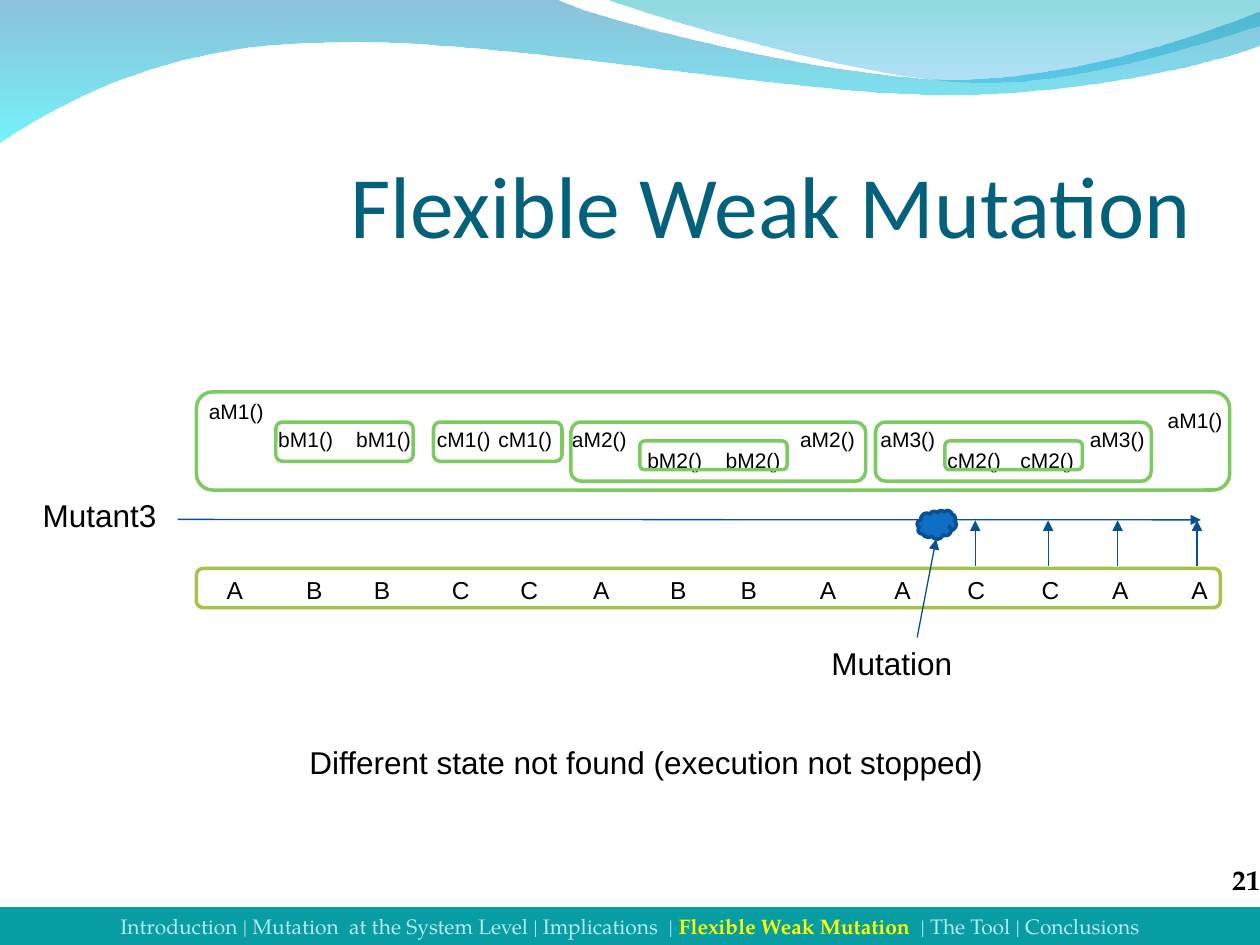
from pptx import Presentation
from pptx.dml.color import RGBColor
from pptx.enum.shapes import MSO_CONNECTOR as Link, MSO_SHAPE as Form
from pptx.enum.text import MSO_ANCHOR as Anchor, MSO_AUTO_SIZE as Fit, PP_ALIGN as Align
from pptx.oxml.ns import qn
from pptx.util import Cm, Pt
from lxml.etree import SubElement as Sub

BLACK = RGBColor(0x00, 0x00, 0x00)
NAVY = RGBColor(0x04, 0x61, 0x7B)
BLUE = RGBColor(0x06, 0x50, 0x93)
CLOUD = RGBColor(0x0F, 0x6F, 0xC6)
EDGE = RGBColor(0x08, 0x50, 0x91)
GREEN = RGBColor(0x7C, 0xCA, 0x62)
OLIVE = RGBColor(0xA5, 0xC2, 0x49)
TEAL = RGBColor(0x08, 0x9C, 0xA3)
PALE = RGBColor(0xB3, 0xEA, 0xF2)
YELLOW = RGBColor(0xFF, 0xFF, 0x00)
DEEP = RGBColor(0x00, 0x79, 0xAF)
CYAN = RGBColor(0x00, 0xEB, 0xF8)
SEA = RGBColor(0x00, 0xAD, 0xB6)
SKY = RGBColor(0x00, 0x9B, 0xE5)

SANS = "Arial"
SERIF = "TeX Gyre Pagella"
WIDTH = 25.4

BACK = [(0, 0), (11.24, 0), (12.09, 0.43, 16.87, 1.6, 19.25, 1.6),
        (21.67, 1.6, 24.33, 0.66, WIDTH, 0.23), (WIDTH, 0.91),
        (24.97, 1.12, 22.1, 1.93, 18.95, 1.91),
        (15.8, 1.91, 9.7, 0.71, 6.53, 0.86), (3.28, 0.89, 1.17, 2.11, 0, 2.87)]
FRONT = [(12.24, 0), (12.93, 0.28, 17.32, 1.57, 19.53, 1.65),
         (21.74, 1.75, 24.41, 0.81, WIDTH, 0.53), (WIDTH, 0)]

TOP, MID, LOW = 7.9, 8.48, 8.89
CALLS = [("aM1()", 3.96, TOP), ("bM1()", 5.36, MID), ("bM1()", 6.93, MID),
         ("cM1()", 8.56, MID), ("cM1()", 9.8, MID), ("aM2()", 11.28, MID),
         ("bM2()", 12.8, LOW), ("bM2()", 14.38, LOW), ("aM2()", 15.88, MID),
         ("aM3()", 17.5, MID), ("cM2()", 18.85, LOW), ("cM2()", 20.32, LOW),
         ("aM3()", 21.72, MID), ("aM1()", 23.29, 8.1)]
SCOPES = [(17.65, 8.51, 5.56, 1.19), (5.56, 8.51, 2.77, 0.79),
          (8.74, 8.51, 2.59, 0.79), (11.51, 8.51, 5.94, 1.19),
          (3.96, TOP, 20.83, 1.98), (12.9, LOW, 2.97, 0.58),
          (19.05, LOW, 2.77, 0.58)]
TRACE = zip("ABBCCABBAACCAA",
            [4.32, 5.92, 7.29, 8.86, 10.24, 11.71, 13.26,
             14.68, 16.28, 17.78, 19.25, 20.75, 22.17, 23.77])
CHECKS = [19.66, 21.13, 22.53, 24.13]


def cms(*nums):
    return [Cm(num) for num in nums]


def add_run(para, text, size, color=BLACK, font=SANS, bold=False):
    run = para.add_run()
    run.text = text
    run.font.size = Pt(size)
    run.font.name = font
    run.font.bold = bold
    run.font.color.rgb = color


def add_label(shapes, text, box, size):
    frame = shapes.add_textbox(*cms(*box)).text_frame
    frame.word_wrap = False
    frame.auto_size = Fit.SHAPE_TO_FIT_TEXT
    add_run(frame.paragraphs[0], text, size)


def add_form(shapes, kind, box, fill=None, line=None):
    form = shapes.add_shape(kind, *cms(*box))
    form.shadow.inherit = False
    if fill is None:
        form.fill.background()
    else:
        form.fill.solid()
        form.fill.fore_color.rgb = fill
    if line is None:
        form.line.fill.background()
    else:
        form.line.color.rgb = line
        form.line.width = Pt(2)
    return form


def add_arrow(shapes, start, end):
    arrow = shapes.add_connector(Link.STRAIGHT, *cms(*start, *end))
    arrow.line.color.rgb = BLUE
    arrow.line.width = Pt(0.75)
    Sub(arrow.line._get_or_add_ln(), qn("a:tailEnd"), type="triangle")
    Sub(arrow._element.spPr, qn("a:effectLst"))


def trace_curve(steps, count=24):
    dots = []
    for step in steps:
        if len(step) == 2:
            dots.append(step)
            continue
        hull = [dots[-1], step[:2], step[2:4], step[4:]]
        for num in range(1, count + 1):
            t = num / count
            parts = [(1 - t) ** 3, 3 * t * (1 - t) ** 2, 3 * t * t * (1 - t), t ** 3]
            dots.append(tuple(sum(p * dot[k] for p, dot in zip(parts, hull))
                              for k in (0, 1)))
    return [cms(*dot) for dot in dots]


def add_wave(shapes, steps, stops):
    first, *rest = trace_curve(steps)
    pen = shapes.build_freeform(*first)
    pen.add_line_segments(rest, close=True)
    wave = pen.convert_to_shape()
    wave.shadow.inherit = False
    wave.line.fill.background()
    wave.fill.gradient()
    wave.fill.gradient_angle = 270
    for stop, (color, _) in zip(wave.fill.gradient_stops, stops):
        stop.color.rgb = color
    tints = wave._element.spPr.iter(qn("a:srgbClr"))
    for tint, (_, alpha) in zip(list(tints), stops):
        Sub(tint, qn("a:alpha"), val=str(alpha * 1000))


def set_title(title):
    title.left, title.top, title.width, title.height = cms(1.2, 1.98, 22.82, 3.18)
    frame = title.text_frame
    frame.auto_size = Fit.NONE
    frame.vertical_anchor = Anchor.BOTTOM
    frame.margin_left = frame.margin_right = frame.margin_bottom = 0
    para = frame.paragraphs[0]
    para.alignment = Align.RIGHT
    add_run(para, "Flexible Weak Mutation", 50, NAVY, "Calibri")


def add_trace(shapes):
    group = shapes.add_group_shape().shapes
    for name, left in TRACE:
        add_label(group, name, (left, 11.46, 0.85, 0.86), 14)
    add_form(group, Form.ROUNDED_RECTANGLE, (3.96, 11.46, 20.64, 0.79), line=OLIVE)


def add_footer(shapes):
    bar = add_form(shapes, Form.RECTANGLE, (0, 18.29, WIDTH, 0.76), TEAL)
    bar.text_frame.vertical_anchor = Anchor.TOP
    para = bar.text_frame.paragraphs[0]
    para.alignment = Align.CENTER
    add_run(para, "Introduction | Mutation  at the System Level | Implications  | ",
            12, PALE, SERIF)
    add_run(para, "Flexible Weak Mutation", 12, YELLOW, SERIF, True)
    add_run(para, "  | The Tool | Conclusions", 12, PALE, SERIF)


def add_number(shapes):
    frame = shapes.add_textbox(*cms(24.49, 17.27, 0.91, 0.79)).text_frame
    frame.word_wrap = True
    frame.vertical_anchor = Anchor.BOTTOM
    frame.margin_left = frame.margin_right = 0
    frame.margin_top = frame.margin_bottom = 0
    para = frame.paragraphs[0]
    para.alignment = Align.RIGHT
    add_run(para, "21", 16, BLACK, SERIF, True)


def main():
    deck = Presentation()
    deck.slide_width, deck.slide_height = cms(WIDTH, 19.05)
    slide = deck.slides.add_slide(deck.slide_layouts[5])
    shapes = slide.shapes
    add_wave(shapes, BACK, [(DEEP, 45), (CYAN, 55)])
    add_wave(shapes, FRONT, [(SEA, 45), (SKY, 30)])
    set_title(shapes.title)
    add_arrow(shapes, (3.58, 10.47), (24.21, 10.48))
    for text, left, top in CALLS:
        add_label(shapes, text, (left, top, 1.65, 0.76), 12)
    add_label(shapes, "Mutant3", (0.61, 9.88, 2.86, 1.02), 18)
    for left in CHECKS:
        add_arrow(shapes, (left, 11.4), (left, 10.49))
    add_trace(shapes)
    for box in SCOPES:
        add_form(shapes, Form.ROUNDED_RECTANGLE, box, line=GREEN)
    add_form(shapes, Form.CLOUD, (18.49, 10.29, 0.79, 0.58), CLOUD, EDGE)
    add_label(shapes, "Mutation", (16.51, 12.85, 2.97, 1.02), 18)
    add_arrow(shapes, (18.49, 12.85), (18.87, 10.87))
    add_label(shapes, "Different state not found (execution not stopped)",
              (5.99, 14.86, 14.12, 1.02), 18)
    add_footer(shapes)
    add_number(shapes)
    deck.save("out.pptx")


if __name__ == "__main__":
    main()
